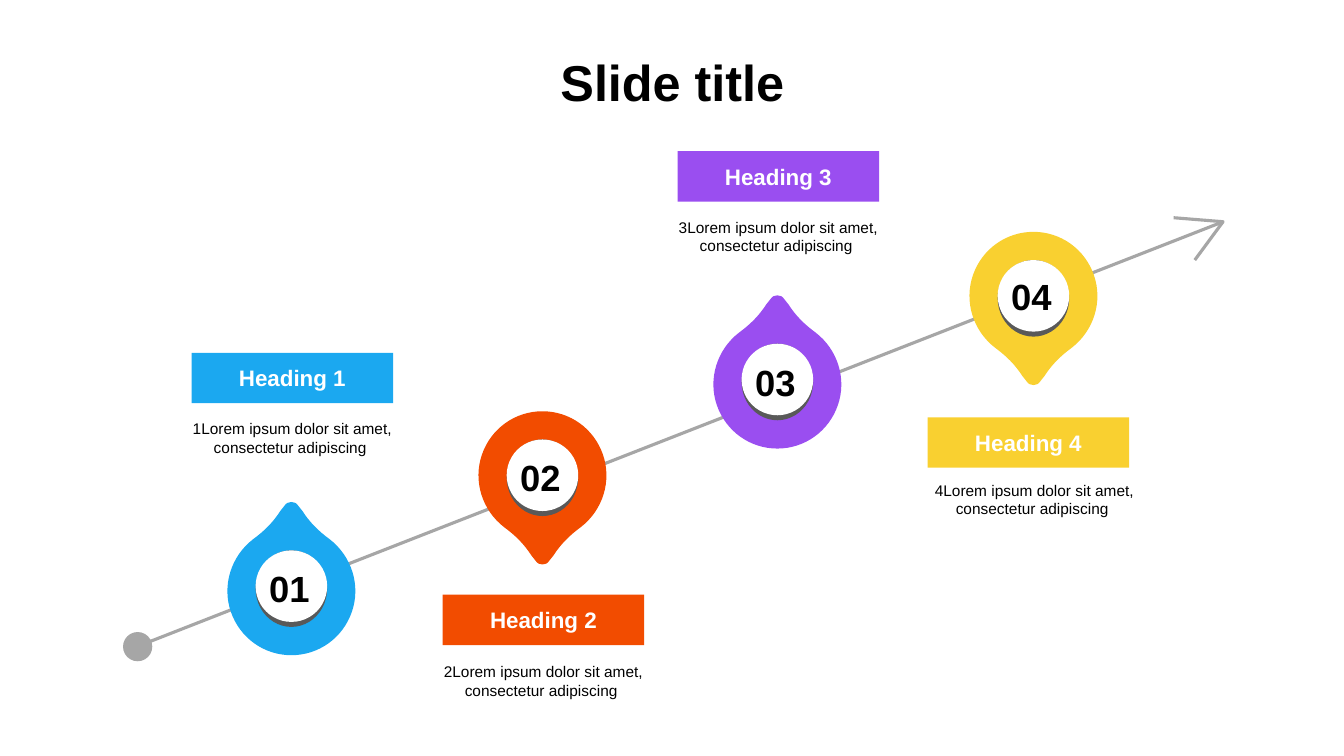
from dataclasses import dataclass

from lxml.etree import SubElement
from pptx import Presentation
from pptx.dml.color import RGBColor
from pptx.enum.shapes import MSO_CONNECTOR, MSO_SHAPE
from pptx.enum.text import MSO_ANCHOR, MSO_AUTO_SIZE, PP_ALIGN
from pptx.oxml import parse_xml
from pptx.oxml.ns import nsdecls, qn
from pptx.shapes.autoshape import Shape
from pptx.slide import Slide
from pptx.text.text import TextFrame
from pptx.util import Inches, Pt

Point = tuple[float, float]

BLUE = RGBColor(0x1B, 0xA8, 0xF0)
ORANGE = RGBColor(0xF2, 0x4C, 0x00)
PURPLE = RGBColor(0x9A, 0x4E, 0xF0)
YELLOW = RGBColor(0xF9, 0xD0, 0x30)
GRAY = RGBColor(0xA6, 0xA6, 0xA6)
DARK_GRAY = RGBColor(0x59, 0x59, 0x59)
WHITE = RGBColor(0xFF, 0xFF, 0xFF)
BLACK = RGBColor(0x00, 0x00, 0x00)

LINE_WIDTH = Pt(2.25)
ARROW_START, ARROW_TIP = (1.32, 6.43), (12.13, 2.2)
ARROW_BARBS = ((11.64, 2.16), (11.85, 2.58))
DISC_SIZE = 0.71
HEADING_SIZE = (2, 0.5)
BODY_SIZE = (2.3, 0.46)

# Right half of a pin that points down, measured from the centre of its head.
# Three points make a curve, one point makes a straight line.
PIN_TOP = (0, -0.64)
PIN_SEGMENTS = (
    ((0.27, -0.64), (0.51, -0.47), (0.6, -0.21)),
    ((0.69, 0.05), (0.6, 0.34), (0.38, 0.51)),
    ((0.27, 0.59), (0.18, 0.68), (0.11, 0.79)),
    ((0.07, 0.84),),
    ((0.05, 0.87), (0.03, 0.88), (0, 0.88)),
)


@dataclass(frozen=True)
class Step:
    number: int
    color: RGBColor
    head: Point
    points_up: bool
    disc_top: float
    number_top: float
    heading_at: Point
    body_center: float
    body_top: float


STEPS = (
    Step(1, BLUE, (2.89, 5.86), True, 5.46, 5.61, (1.9, 3.5), 2.9, 4.15),
    Step(2, ORANGE, (5.38, 4.72), False, 4.36, 4.51, (4.39, 5.9), 5.39, 6.56),
    Step(3, PURPLE, (7.71, 3.81), True, 3.41, 3.56, (6.72, 1.5), 7.72, 2.15),
    Step(4, YELLOW, (10.25, 2.94), False, 2.58, 2.71, (9.2, 4.14), 10.26, 4.76),
)


def add_freeform(slide: Slide, points: list[Point], close: bool) -> Shape:
    start, *others = [(Inches(x), Inches(y)) for x, y in points]
    builder = slide.shapes.build_freeform(*start)
    builder.add_line_segments(others, close=close)
    outline = builder.convert_to_shape()
    outline.shadow.inherit = False
    return outline


def bend(outline: Shape, lengths: list[int]) -> None:
    """Join runs of three line points into Bezier curves."""
    lines = iter(list(outline.element.iter(qn("a:lnTo"))))
    for length in lengths:
        group = [next(lines) for _ in range(length)]
        if length == 3:
            curve = parse_xml(f"<a:cubicBezTo {nsdecls('a')}/>")
            group[0].addprevious(curve)
            for line in group:
                curve.append(line[0])
                line.getparent().remove(line)


def add_pin(slide: Slide, step: Step) -> None:
    right = [PIN_TOP] + [point for segment in PIN_SEGMENTS for point in segment]
    left = [(-x, y) for x, y in right[-2::-1]]
    flip = -1 if step.points_up else 1
    x0, y0 = step.head
    pin = add_freeform(slide, [(x0 + x, y0 + flip * y) for x, y in right + left],
                       close=True)
    lengths = [len(segment) for segment in PIN_SEGMENTS]
    bend(pin, lengths + lengths[::-1])
    paint(pin, step.color)


def paint(shape: Shape, color: RGBColor) -> None:
    shape.shadow.inherit = False
    shape.fill.solid()
    shape.fill.fore_color.rgb = color
    shape.line.fill.background()


def add_filled(slide: Slide, kind: MSO_SHAPE, at: Point, size: Point,
               color: RGBColor) -> Shape:
    shape = slide.shapes.add_shape(kind, *map(Inches, (*at, *size)))
    paint(shape, color)
    return shape


def write(frame: TextFrame, text: str, size: int, color: RGBColor,
          bold: bool = True) -> None:
    frame.word_wrap = True
    paragraph = frame.paragraphs[0]
    paragraph.text = text
    paragraph.alignment = PP_ALIGN.CENTER
    font = paragraph.font
    font.name, font.size, font.bold = "Arial", Pt(size), bold
    font.color.rgb = color


def remove_insets(frame: TextFrame) -> None:
    frame.margin_left = frame.margin_right = 0
    frame.margin_top = frame.margin_bottom = 0


def add_label(slide: Slide, at: Point, size: Point) -> TextFrame:
    frame = slide.shapes.add_textbox(*map(Inches, (*at, *size))).text_frame
    remove_insets(frame)
    frame.margin_top = Inches(0.01)
    return frame


def add_rising_arrow(slide: Slide) -> None:
    trail = slide.shapes.add_connector(
        MSO_CONNECTOR.STRAIGHT, *map(Inches, (*ARROW_START, *ARROW_TIP)))
    upper, lower = ARROW_BARBS
    arrowhead = add_freeform(slide, [upper, ARROW_TIP, lower], close=False)
    arrowhead.fill.background()
    for stroke in (trail, arrowhead):
        stroke.line.color.rgb = GRAY
        stroke.line.width = LINE_WIDTH
    SubElement(trail.element.spPr, qn("a:effectLst"))
    add_filled(slide, MSO_SHAPE.OVAL, (1.22, 6.27), (0.29, 0.29), GRAY)


def add_step(slide: Slide, step: Step) -> None:
    add_pin(slide, step)
    center = step.head[0]
    for color, height in ((DARK_GRAY, 0.76), (WHITE, DISC_SIZE)):
        add_filled(slide, MSO_SHAPE.OVAL, (center - DISC_SIZE / 2, step.disc_top),
                   (DISC_SIZE, height), color)
    number = add_label(slide, (center - 0.39, step.number_top), (0.74, 0.55))
    write(number, f"{step.number:02}", 26, BLACK)

    heading = add_filled(slide, MSO_SHAPE.RECTANGLE, step.heading_at, HEADING_SIZE,
                         step.color).text_frame
    remove_insets(heading)
    heading.vertical_anchor = MSO_ANCHOR.MIDDLE
    write(heading, f"Heading {step.number}", 16, WHITE)

    body = add_label(slide, (step.body_center - BODY_SIZE[0] / 2, step.body_top),
                     BODY_SIZE)
    write(body, f"{step.number}Lorem ipsum dolor sit amet, consectetur adipiscing ",
          11, BLACK, bold=False)
    body.paragraphs[0].space_before = Pt(6)


def add_title(slide: Slide) -> None:
    title = slide.shapes.add_textbox(
        *map(Inches, (0.61, 0.46, 12.12, 0.71))).text_frame
    write(title, "Slide title", 36, BLACK)
    title.auto_size = MSO_AUTO_SIZE.SHAPE_TO_FIT_TEXT


def main() -> None:
    deck = Presentation()
    deck.slide_width, deck.slide_height = Inches(13.33), Inches(7.5)
    slide = deck.slides.add_slide(deck.slide_layouts[6])
    add_rising_arrow(slide)
    for step in STEPS:
        add_step(slide, step)
    add_title(slide)
    deck.save("out.pptx")


if __name__ == "__main__":
    main()
